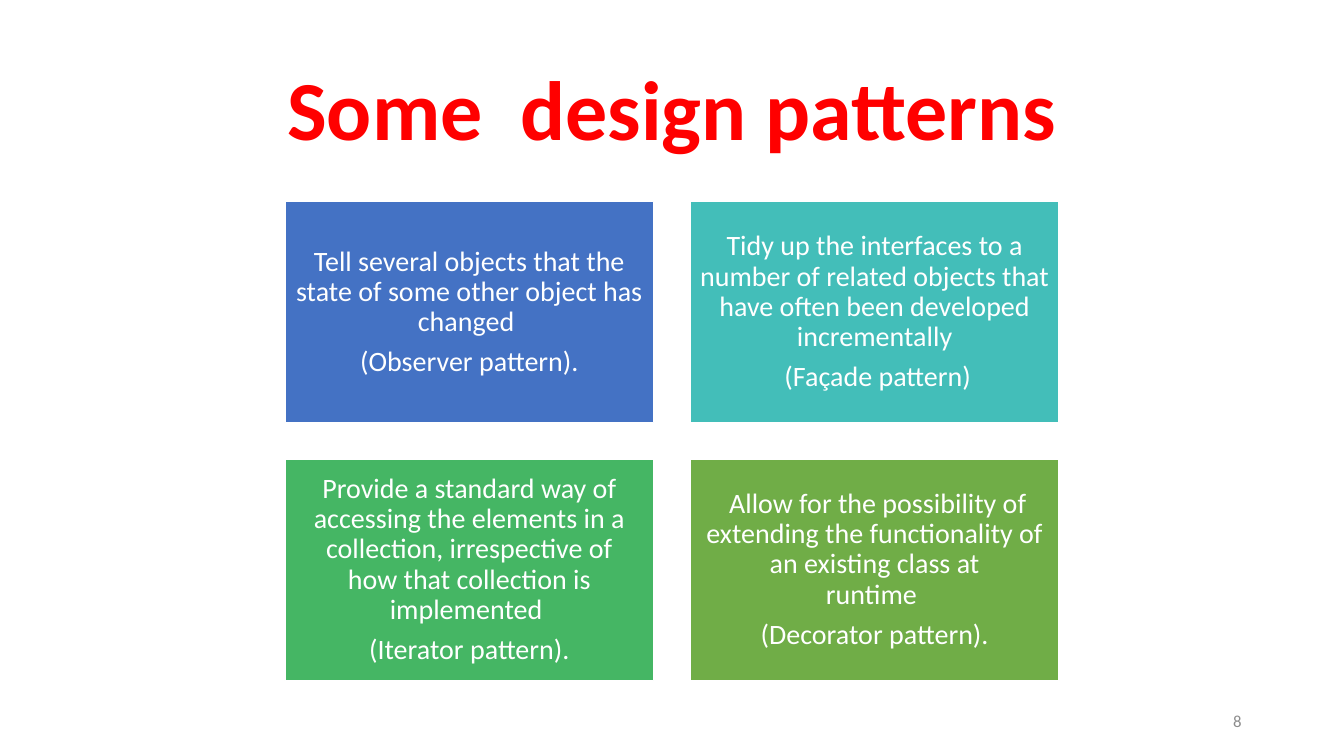
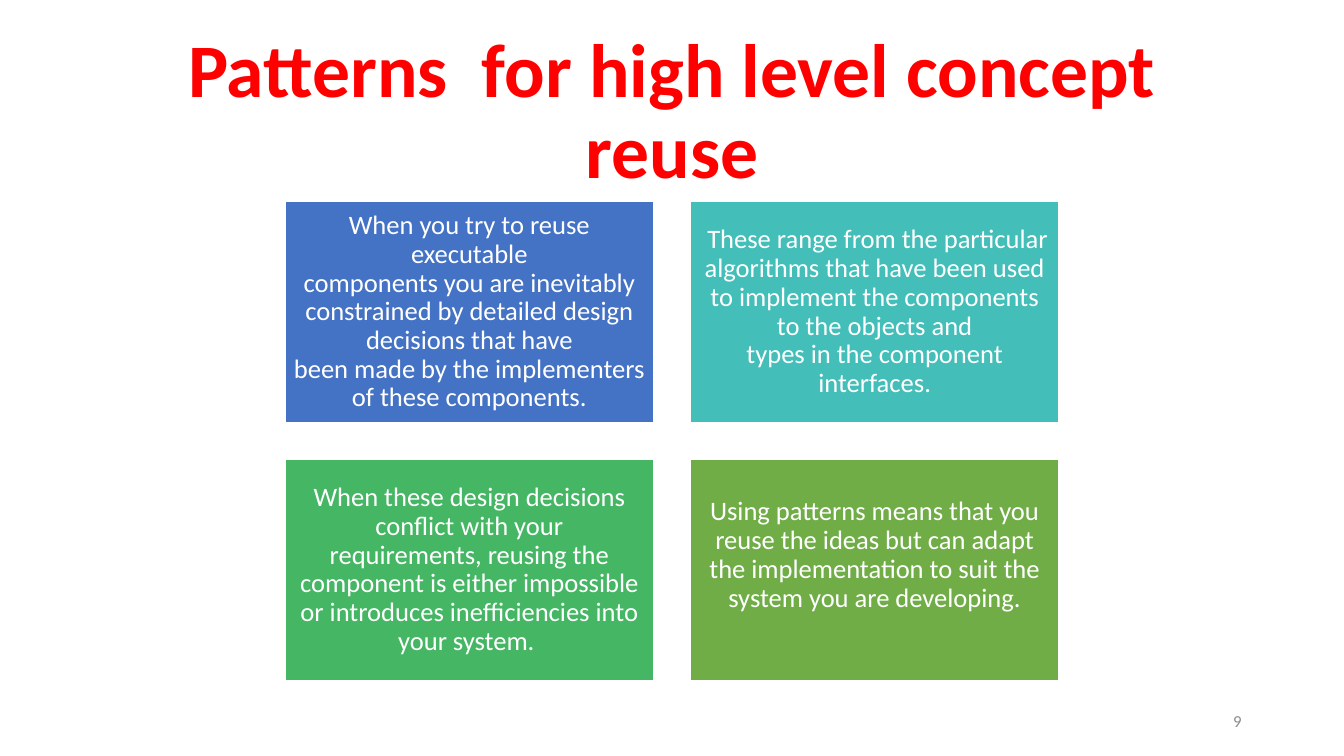
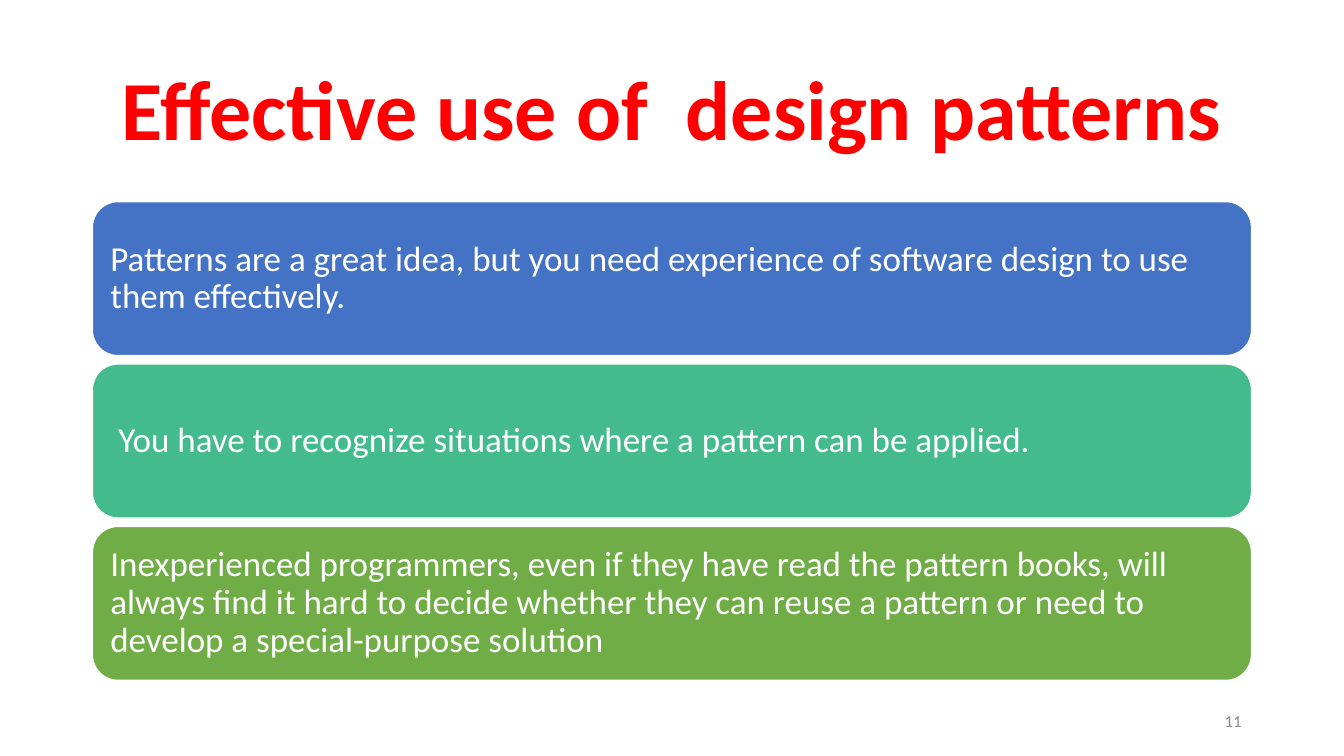
from dataclasses import dataclass

from pptx import Presentation
from pptx.dml.color import RGBColor
from pptx.enum.shapes import MSO_SHAPE
from pptx.enum.text import MSO_ANCHOR, PP_ALIGN
from pptx.util import Pt

RECTANGLE = MSO_SHAPE.RECTANGLE
ROUNDED_RECTANGLE = MSO_SHAPE.ROUNDED_RECTANGLE
MIDDLE = MSO_ANCHOR.MIDDLE
LEFT, CENTER, RIGHT = PP_ALIGN.LEFT, PP_ALIGN.CENTER, PP_ALIGN.RIGHT

# Page geometry in points
SLIDE_WIDTH, SLIDE_HEIGHT = 960, 540
CONTENT_LEFT, CONTENT_WIDTH = 66, 828
CONTENT_TOP, CONTENT_HEIGHT = 144, 342
CARD_WIDTH, CARD_GAP = 263.5, 26
BAR_GAP = 6


@dataclass(frozen=True)
class Theme:
    font: str = "Calibri"
    title_color: str = "FF0000"
    number_color: str = "8C8C8C"
    light: str = "FFFFFF"
    card_fills: tuple = ("4472C4", "43BEB9", "45B664", "70AD47")
    bar_fills: tuple = ("4472C4", "43BB8D", "70AD47")
    title_size: int = 60
    long_title_size: int = 54
    card_size: int = 20
    dense_card_size: int = 19
    bar_size: int = 25
    number_size: int = 12
    line_spacing: float = 0.9
    inset_ratio: float = 0.3
    paragraph_gap_ratio: float = 0.35


THEME = Theme()


def write_text(shape, text, *, size, color, align=LEFT, bold=False,
               line_spacing=1.0, space_after=0, insets=(7.2, 3.6, 7.2, 3.6)):
    """Fill a shape with one paragraph, or with a list of paragraphs."""
    frame = shape.text_frame
    frame.word_wrap = True
    frame.vertical_anchor = MIDDLE
    (frame.margin_left, frame.margin_top,
     frame.margin_right, frame.margin_bottom) = (Pt(inset) for inset in insets)
    paragraphs = [text] if isinstance(text, str) else text
    for index, content in enumerate(paragraphs):
        paragraph = frame.add_paragraph() if index else frame.paragraphs[0]
        paragraph.text = content
        paragraph.alignment = align
        paragraph.line_spacing = line_spacing
        paragraph.space_after = Pt(space_after)
        for run in paragraph.runs:
            run.font.name = THEME.font
            run.font.size = Pt(size)
            run.font.bold = bold
            run.font.color.rgb = RGBColor.from_string(color)


class Deck:
    def __init__(self, theme):
        self.theme = theme
        self.presentation = Presentation()
        self.presentation.slide_width = Pt(SLIDE_WIDTH)
        self.presentation.slide_height = Pt(SLIDE_HEIGHT)
        self.slide = None

    def start_slide(self, title, number, title_size=THEME.title_size):
        """Add a slide with its title and page number."""
        blank_layout = self.presentation.slide_layouts[6]
        self.slide = self.presentation.slides.add_slide(blank_layout)
        self.label(title, CONTENT_LEFT, 28.75, CONTENT_WIDTH, 104.4,
                   size=title_size, color=self.theme.title_color, bold=True,
                   align=CENTER, line_spacing=self.theme.line_spacing)
        self.label(str(number), 678, 500.5, 216, 28.75, align=RIGHT,
                   size=self.theme.number_size, color=self.theme.number_color)

    def label(self, text, left, top, width, height, **text_format):
        shape = self.slide.shapes.add_textbox(Pt(left), Pt(top), Pt(width), Pt(height))
        write_text(shape, text, **text_format)

    def panel(self, kind, text, left, top, width, height, *, fill, size, align,
              extra_bottom=0):
        """Add a filled shape whose insets follow its type size."""
        shape = self.slide.shapes.add_shape(kind, Pt(left), Pt(top), Pt(width), Pt(height))
        shape.shadow.inherit = False
        shape.fill.solid()
        shape.fill.fore_color.rgb = RGBColor.from_string(fill)
        shape.line.color.rgb = RGBColor.from_string(self.theme.light)
        shape.line.width = Pt(1)
        inset = size * self.theme.inset_ratio
        write_text(shape, text, size=size, color=self.theme.light, align=align,
                   line_spacing=self.theme.line_spacing,
                   space_after=size * self.theme.paragraph_gap_ratio,
                   insets=(inset, inset, inset, inset + extra_bottom))

    def card_grid(self, texts, size, last_extra_bottom=0):
        """Place four cards in two centred columns."""
        grid_left = (SLIDE_WIDTH - 2 * CARD_WIDTH - CARD_GAP) / 2
        card_height = (CONTENT_HEIGHT - CARD_GAP) / 2
        for index, (text, fill) in enumerate(zip(texts, self.theme.card_fills)):
            row, column = divmod(index, 2)
            is_last = index == len(texts) - 1
            self.panel(RECTANGLE, text,
                       grid_left + column * (CARD_WIDTH + CARD_GAP),
                       CONTENT_TOP + row * (card_height + CARD_GAP),
                       CARD_WIDTH, card_height, fill=fill, size=size, align=CENTER,
                       extra_bottom=last_extra_bottom if is_last else 0)

    def bar_stack(self, texts):
        """Stack full-width rounded bars at equal gaps."""
        bar_height = (CONTENT_HEIGHT - BAR_GAP * (len(texts) - 1)) / len(texts)
        for index, (text, fill) in enumerate(zip(texts, self.theme.bar_fills)):
            self.panel(ROUNDED_RECTANGLE, text, CONTENT_LEFT,
                       CONTENT_TOP + index * (bar_height + BAR_GAP),
                       CONTENT_WIDTH, bar_height, fill=fill,
                       size=self.theme.bar_size, align=LEFT)


def main():
    deck = Deck(THEME)

    # Pattern examples
    deck.start_slide("Some  design patterns", 8)
    deck.card_grid([
        ["Tell several objects that the state of some other object has changed ",
         "(Observer pattern)."],
        ["Tidy up the interfaces to a number of related objects that have often "
         "been developed incrementally",
         " (Façade pattern)"],
        ["Provide a standard way of accessing the elements in a collection, "
         "irrespective of\nhow that collection is implemented ",
         "(Iterator pattern)."],
        [" Allow for the possibility of extending the functionality of an existing "
         "class at\nruntime ",
         "(Decorator pattern)."],
    ], THEME.card_size)

    # Concept reuse
    deck.start_slide("Patterns  for high level concept reuse", 9, THEME.long_title_size)
    deck.card_grid([
        "When you try to reuse executable\ncomponents you are inevitably constrained "
        "by detailed design decisions that have\nbeen made by the implementers of "
        "these components.",
        " These range from the particular algorithms that have been used to implement "
        "the components to the objects and\ntypes in the component interfaces.",
        "When these design decisions conflict with your\nrequirements, reusing the "
        "component is either impossible or introduces inefficiencies into your system. ",
        "Using patterns means that you reuse the ideas but can adapt\n"
        "the implementation to suit the system you are developing.",
    ], THEME.dense_card_size, last_extra_bottom=20.5)

    # Effective use
    deck.start_slide("Effective use of  design patterns", 11)
    deck.bar_stack([
        "Patterns are a great idea, but you need experience of software design to use "
        "them effectively.",
        " You have to recognize situations where a pattern can be applied.",
        "Inexperienced programmers, even if they have read the pattern books, will "
        "always find it hard to decide whether they can reuse a pattern or need to "
        "develop a special-purpose solution",
    ])

    deck.presentation.save("out.pptx")


if __name__ == "__main__":
    main()
